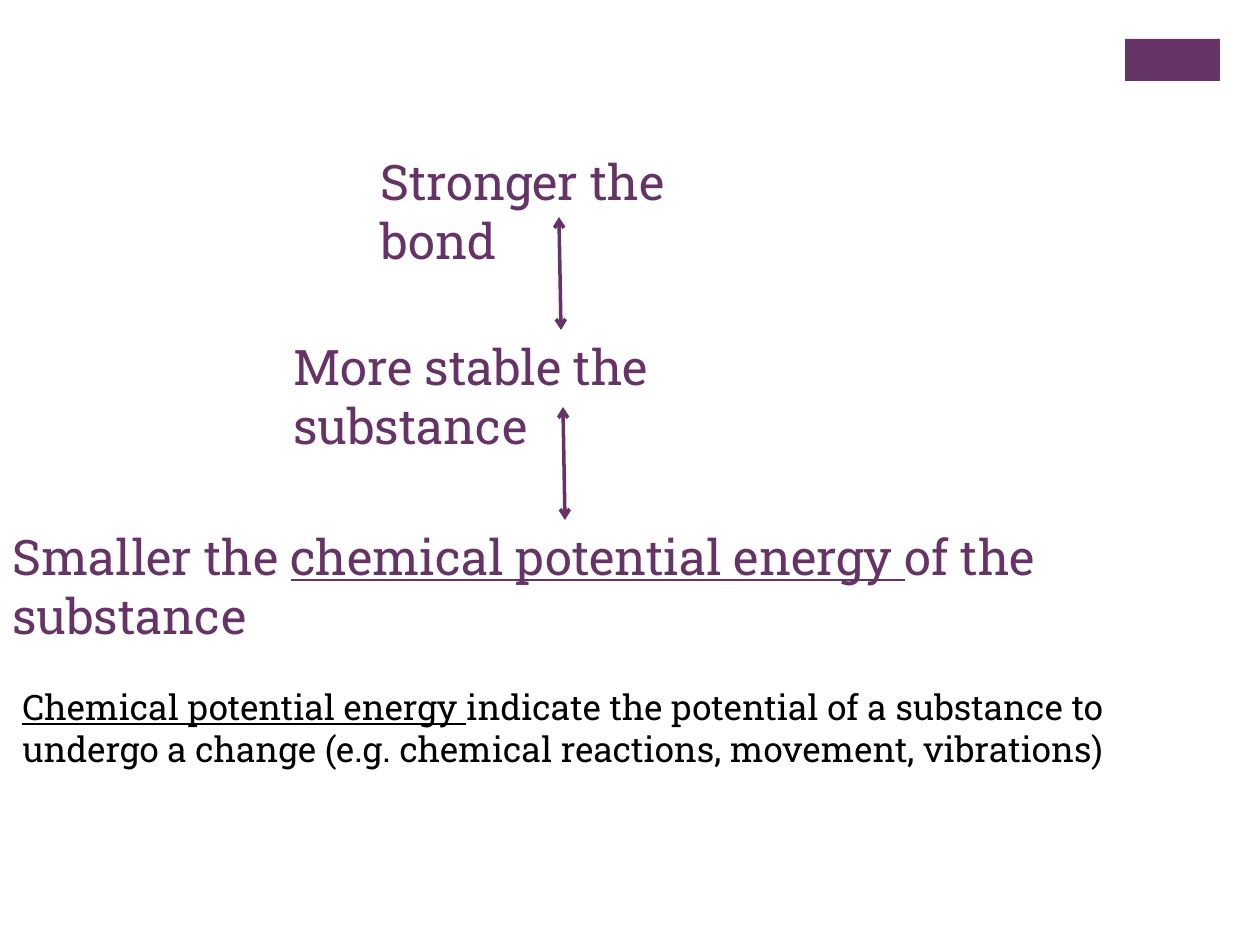
from lxml.etree import SubElement
from pptx import Presentation
from pptx.dml.color import RGBColor
from pptx.enum.shapes import MSO_CONNECTOR, MSO_SHAPE
from pptx.enum.text import MSO_AUTO_SIZE
from pptx.oxml.ns import qn
from pptx.util import Pt

EMU_PER_PX = 914400 / 126
COLOURS = {"purple": "663366", "black": "000000"}
FONT = "Roboto Slab"

# left, top, width, height, runs of (text, underlined)
STATEMENTS = [
    (368, 145, 430, 72, [("Stronger the bond", False)]),
    (281, 330, 619, 72, [("More stable the substance", False)]),
    (0, 520, 1267, 72, [
        ("Smaller the ", False),
        ("chemical potential energy ", True),
        ("of the substance", False),
    ]),
]
DEFINITION = (10, 679, 1191, 97, [
    ("Chemical potential energy ", True),
    ("indicate the potential of a substance to undergo a change "
     "(e.g. chemical reactions, movement, vibrations)", False),
])
ARROWS = [(559, 217, 561, 330), (563, 407, 565, 520)]


def px(length):
    return round(length * EMU_PER_PX)


def colour(name):
    return RGBColor.from_string(COLOURS[name])


def add_text(slide, left, top, width, height, runs, size, ink):
    frame = slide.shapes.add_textbox(*map(px, (left, top, width, height))).text_frame
    frame.word_wrap = True
    frame.auto_size = MSO_AUTO_SIZE.SHAPE_TO_FIT_TEXT
    for words, underlined in runs:
        run = frame.paragraphs[0].add_run()
        run.text = words
        font_format = {"name": FONT, "size": Pt(size), "underline": underlined}
        for attribute, value in font_format.items():
            setattr(run.font, attribute, value)
        run.font.color.rgb = colour(ink)


def add_double_arrow(slide, *ends):
    arrow = slide.shapes.add_connector(MSO_CONNECTOR.STRAIGHT, *map(px, ends))
    arrow.line.width = Pt(2)
    arrow.line.color.rgb = colour("purple")
    line = arrow.line._get_or_add_ln()
    for end in ("a:headEnd", "a:tailEnd"):
        SubElement(line, qn(end), type="arrow")
    SubElement(arrow._element.spPr, qn("a:effectLst"))


def add_corner_block(slide, *box):
    block = slide.shapes.add_shape(MSO_SHAPE.RECTANGLE, *map(px, box))
    block.shadow.inherit = False
    block.fill.solid()
    block.fill.fore_color.rgb = colour("purple")
    block.line.fill.background()


def main():
    deck = Presentation()
    deck.slide_width, deck.slide_height = px(1260), px(945)
    slide = deck.slides.add_slide(deck.slide_layouts[6])
    add_corner_block(slide, 1125, 39, 95, 42)
    for statement in STATEMENTS:
        add_text(slide, *statement, size=28, ink="purple")
    for ends in ARROWS:
        add_double_arrow(slide, *ends)
    add_text(slide, *DEFINITION, size=20, ink="black")
    deck.save("out.pptx")


if __name__ == "__main__":
    main()
